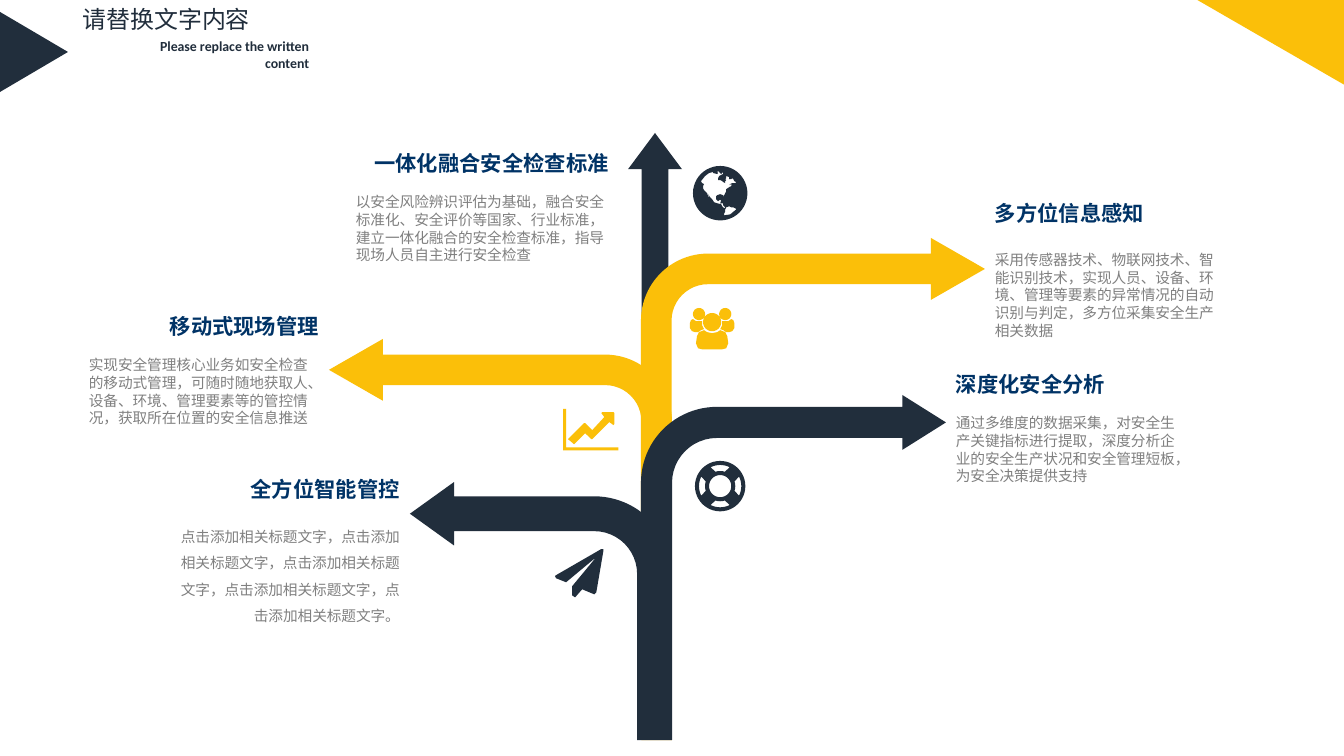
from dataclasses import dataclass
from math import cos, radians, sin

from pptx import Presentation
from pptx.dml.color import RGBColor as Color
from pptx.enum.shapes import MSO_SHAPE as Preset
from pptx.enum.text import MSO_ANCHOR as Anchor, MSO_AUTO_SIZE as AutoSize, PP_ALIGN as Align
from pptx.oxml.ns import qn
from pptx.util import Pt

SCALE = 12192000 / 1344
ICON_UNIT = 9144


@dataclass(frozen=True)
class Theme:
    navy: str = "212E3C"
    yellow: str = "FBBF09"
    heading: str = "003366"
    body: str = "808080"
    latin_font: str = "Calibri"
    chinese_font: str = "Noto Sans CJK SC"
    title_size: float = 17.1
    subtitle_size: float = 9.9
    heading_size: float = 15.2
    body_size: float = 10.5


THEME = Theme()


def px(length):
    return round(length * SCALE)


def paint(shape, color):
    shape.shadow.inherit = False
    shape.fill.solid()
    shape.fill.fore_color.rgb = Color.from_string(color)
    shape.line.fill.background()


def add_preset(slide, preset, box, color, adjustments=(), rotation=0, flip=False):
    shape = slide.shapes.add_shape(preset, *map(px, box))
    for index, value in enumerate(adjustments):
        shape.adjustments[index] = value
    shape.rotation = rotation
    if flip:
        shape._element.spPr.xfrm.set("flipH", "1")
    paint(shape, color)


def write_text(paragraph, text, font, size, color, bold=False, align=Align.LEFT, spacing=None, after=0):
    paragraph.alignment = align
    paragraph.space_before = Pt(0)
    paragraph.space_after = Pt(after)
    if spacing:
        paragraph.line_spacing = Pt(round(size * spacing, 1))
    run = paragraph.add_run()
    run.text = text
    run.font.name = font
    run.font.size = Pt(size)
    run.font.bold = bold
    run.font.color.rgb = Color.from_string(color)
    properties = run._r.get_or_add_rPr()
    east_asian = properties.makeelement(qn("a:ea"), {"typeface": font})
    properties.find(qn("a:latin")).addnext(east_asian)


def prepare_frame(shape):
    frame = shape.text_frame
    frame.word_wrap = True
    frame.auto_size = AutoSize.NONE
    frame.vertical_anchor = Anchor.TOP
    return frame


def add_header(slide, box):
    left, top, width, height = box
    add_preset(slide, Preset.ISOSCELES_TRIANGLE, (left - 6, top + 18, 80, 68), THEME.navy, rotation=90)
    add_preset(slide, Preset.RIGHT_TRIANGLE, (left + width - 116, top - 32, 86, 149), THEME.yellow,
               rotation=270, flip=True)
    title = slide.shapes.title
    title.left, title.top, title.width, title.height = map(px, (left + 60, top, 200, 39))
    write_text(prepare_frame(title).paragraphs[0], "请替换文字内容",
               THEME.latin_font, THEME.title_size, THEME.navy, align=Align.RIGHT)
    subtitle = slide.shapes.add_textbox(*map(px, (left + 130, top + 33, 189, 44)))
    write_text(prepare_frame(subtitle).paragraphs[0], "Please replace the written content",
               THEME.latin_font, THEME.subtitle_size, THEME.navy, bold=True, align=Align.RIGHT)


def add_tree(slide, box):
    left, top, width, height = box
    bottom = top + height
    slim, thick = (0.089, 0.09, 0.157, 0.195), (0.102, 0.09, 0.143, 0.249)
    add_preset(slide, Preset.UP_ARROW, (left + 299, top, 54, height), THEME.navy, (0.5, 0.671))
    branches = [
        (312, 105, 344, THEME.yellow, slim, False),
        (0, 206, 343, THEME.yellow, slim, True),
        (312, 262, 305, THEME.navy, thick, False),
        (81, 349, 262, THEME.navy, (0.135, 0.123, 0.171, 0.301), True),
    ]
    for x, y, branch_width, color, adjustments, flip in branches:
        branch_box = (left + x, top + y, branch_width, bottom - top - y)
        add_preset(slide, Preset.BENT_ARROW, branch_box, color, adjustments, flip=flip)


def add_caption(slide, box, heading, body, heading_align, body_align=Align.LEFT, spacing=1.2, gap=12.6):
    frame = prepare_frame(slide.shapes.add_textbox(*map(px, box)))
    write_text(frame.paragraphs[0], heading, THEME.chinese_font, THEME.heading_size, THEME.heading,
               bold=True, align=heading_align, spacing=1.2, after=gap)
    write_text(frame.add_paragraph(), body, THEME.chinese_font, THEME.body_size, THEME.body,
               align=body_align, spacing=spacing)


def arc(center_x, center_y, radius, start=0, end=360, steps=48):
    angles = [radians(start + (end - start) * step / steps) for step in range(steps + 1)]
    return [(center_x + radius * cos(angle), center_y + radius * sin(angle)) for angle in angles]


def add_icon(slide, corner, contours, color):
    left, top = map(px, corner)
    outlines = [[(left + x * ICON_UNIT, top + y * ICON_UNIT) for x, y in contour] for contour in contours]
    builder = slide.shapes.build_freeform(*outlines[0][0])
    builder.add_line_segments(outlines[0][1:], close=True)
    for outline in outlines[1:]:
        builder.move_to(*outline[0])
        builder.add_line_segments(outline[1:], close=True)
    paint(builder.convert_to_shape(), color)


def globe_contours():
    north = [
        (36, 19), (37, 18), (39, 17), (42, 17), (43, 16), (41, 15), (40, 13), (39, 12), (38, 13), (36, 13),
        (36, 11), (33, 10), (33, 12), (32, 13), (33, 14), (32, 15), (32, 17), (30, 16), (29, 15), (27, 14),
        (25, 14), (25, 12), (26, 10), (28, 9), (30, 8), (30, 6), (28, 8), (27, 7), (25, 5), (24, 6), (25, 7),
        (24, 8), (20, 7), (20, 6), (16, 7), (12, 10), (8, 15), (9, 17), (11, 18), (10, 20), (10, 22), (11, 24),
        (14, 27), (15, 30), (17, 32), (15, 28), (17, 31), (19, 33), (21, 36), (24, 37), (28, 38), (29, 40),
        (31, 42), (32, 41), (30, 39), (30, 37), (27, 37), (28, 34), (26, 34), (25, 35), (23, 33), (23, 30),
        (24, 29), (27, 28), (30, 29), (31, 31), (31, 29), (32, 27), (33, 25), (33, 23), (36, 21), (38, 20),
        (38, 18),
    ]
    south = [(43, 43), (42, 42), (40, 41), (38, 41), (36, 40), (33, 41), (32, 43), (32, 45), (31, 47),
             (31, 49), (37, 48)]
    return [arc(27, 27, 27), north, south]


def people_contours():
    side = [(8, 24), (5, 24), (2, 23), (0, 20), (0, 15), (1, 12), (3, 11), (6, 13), (9, 13), (12, 13),
            (12, 17), (14, 21), (11, 22)]
    half = [(22, 41), (12, 41), (8, 40), (6, 35), (7, 28), (9, 24), (14, 22), (17, 24), (22, 25)]

    def mirror(points):
        return [(44 - x, y) for x, y in points]

    left_person = [arc(9, 6, 6), side]
    return [*left_person, *map(mirror, left_person), arc(22, 14, 9), half + mirror(half)[::-1]]


def lifebuoy_contours():
    windows = [arc(25, 25, 21, angle - 27, angle + 27, 8) + arc(25, 25, 15, angle + 18, angle - 18, 8)
               for angle in range(0, 360, 90)]
    return [arc(25, 25, 25), *windows, arc(25, 25, 11)]


def add_icons(slide, box):
    left, top, width, height = box
    plane = [(48, 2), (41, 43), (39, 45), (27, 40), (20, 48), (17, 46), (17, 37), (41, 8), (11, 33), (1, 29),
             (0, 27), (1, 26), (46, 0), (48, 0)]
    axes = [(55, 41), (0, 41), (0, 0), (3, 0), (3, 38), (55, 38)]
    trend = [(51, 15), (50, 16), (46, 13), (29, 30), (28, 30), (22, 24), (11, 35), (5, 30), (21, 14), (22, 14),
             (29, 21), (41, 8), (38, 4), (39, 3), (50, 3), (51, 4)]
    icons = [
        (0, 383, [plane], THEME.navy),
        (138, 0, globe_contours(), THEME.navy),
        (8, 243, [axes, trend], THEME.yellow),
        (140, 295, lifebuoy_contours(), THEME.navy),
        (135, 142, people_contours(), THEME.yellow),
    ]
    for x, y, contours, color in icons:
        add_icon(slide, (left + x, top + y), contours, color)


def build_slide(presentation):
    slide = presentation.slides.add_slide(presentation.slide_layouts[5])
    add_header(slide, (0, 0, 1344, 92))
    add_tree(slide, (329, 133, 656, 607))
    add_caption(slide, (157, 471, 253, 160), "全方位智能管控",
                "点击添加相关标题文字，点击添加相关标题文字，点击添加相关标题文字，点击添加相关标题文字，点击添加相关标题文字。",
                Align.RIGHT, Align.RIGHT, spacing=1.8)
    add_caption(slide, (79, 308, 250, 125), "移动式现场管理",
                "实现安全管理核心业务如安全检查的移动式管理，可随时随地获取人、设备、环境、管理要素等的管控情况，获取所在位置的安全信息推送",
                Align.RIGHT)
    add_caption(slide, (946, 366, 250, 128), "深度化安全分析",
                "通过多维度的数据采集，对安全生产关键指标进行提取，深度分析企业的安全生产状况和安全管理短板，为安全决策提供支持",
                Align.LEFT)
    add_caption(slide, (346, 145, 273, 125), "一体化融合安全检查标准",
                "以安全风险辨识评估为基础，融合安全标准化、安全评价等国家、行业标准，建立一体化融合的安全检查标准，指导现场人员自主进行安全检查",
                Align.RIGHT)
    add_caption(slide, (985, 195, 250, 151), "多方位信息感知",
                "采用传感器技术、物联网技术、智能识别技术，实现人员、设备、环境、管理等要素的异常情况的自动识别与判定，多方位采集安全生产相关数据",
                Align.LEFT, gap=18)
    add_icons(slide, (555, 166, 193, 432))


def main():
    presentation = Presentation()
    presentation.slide_width, presentation.slide_height = px(1344), px(756)
    build_slide(presentation)
    presentation.save("out.pptx")


if __name__ == "__main__":
    main()
